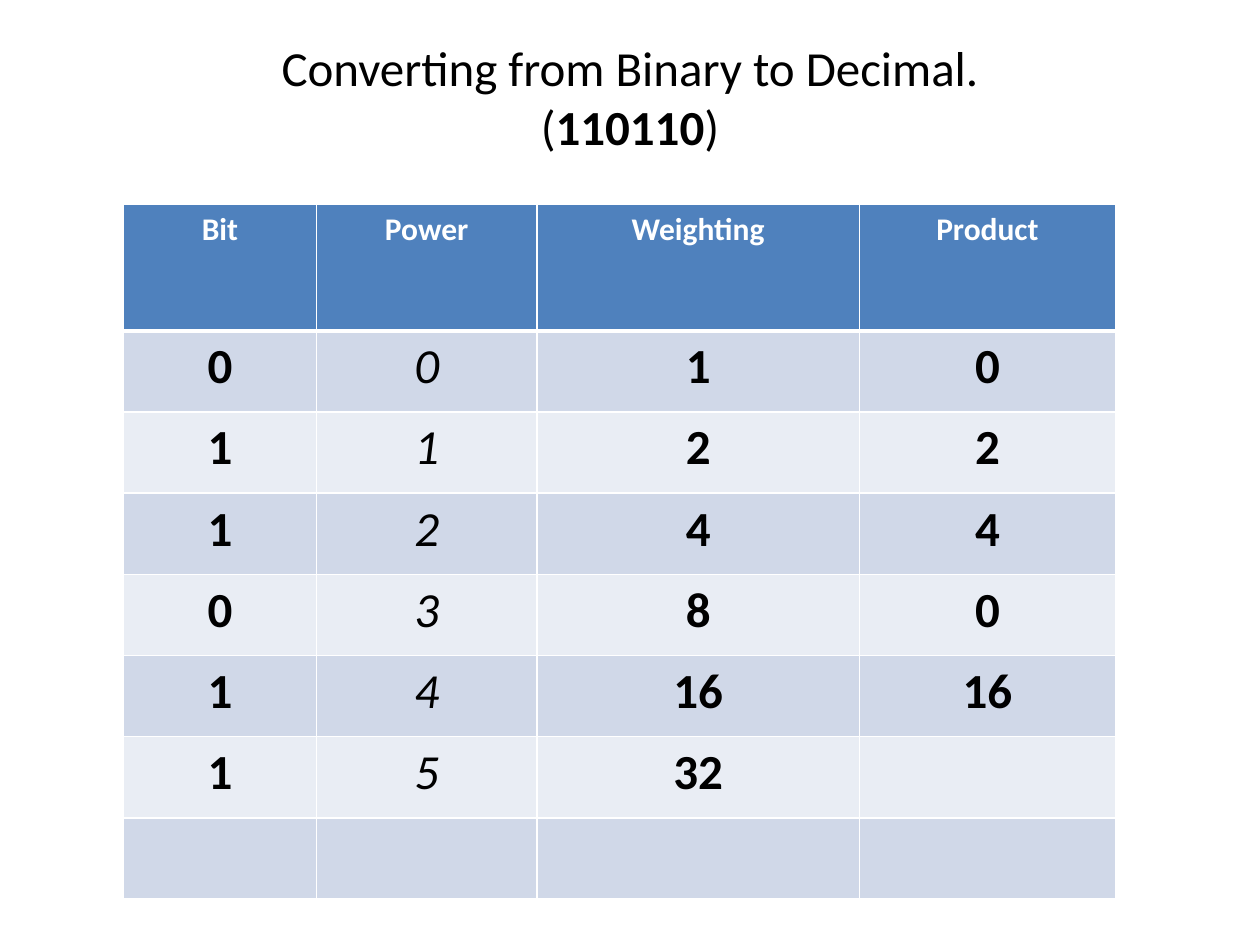
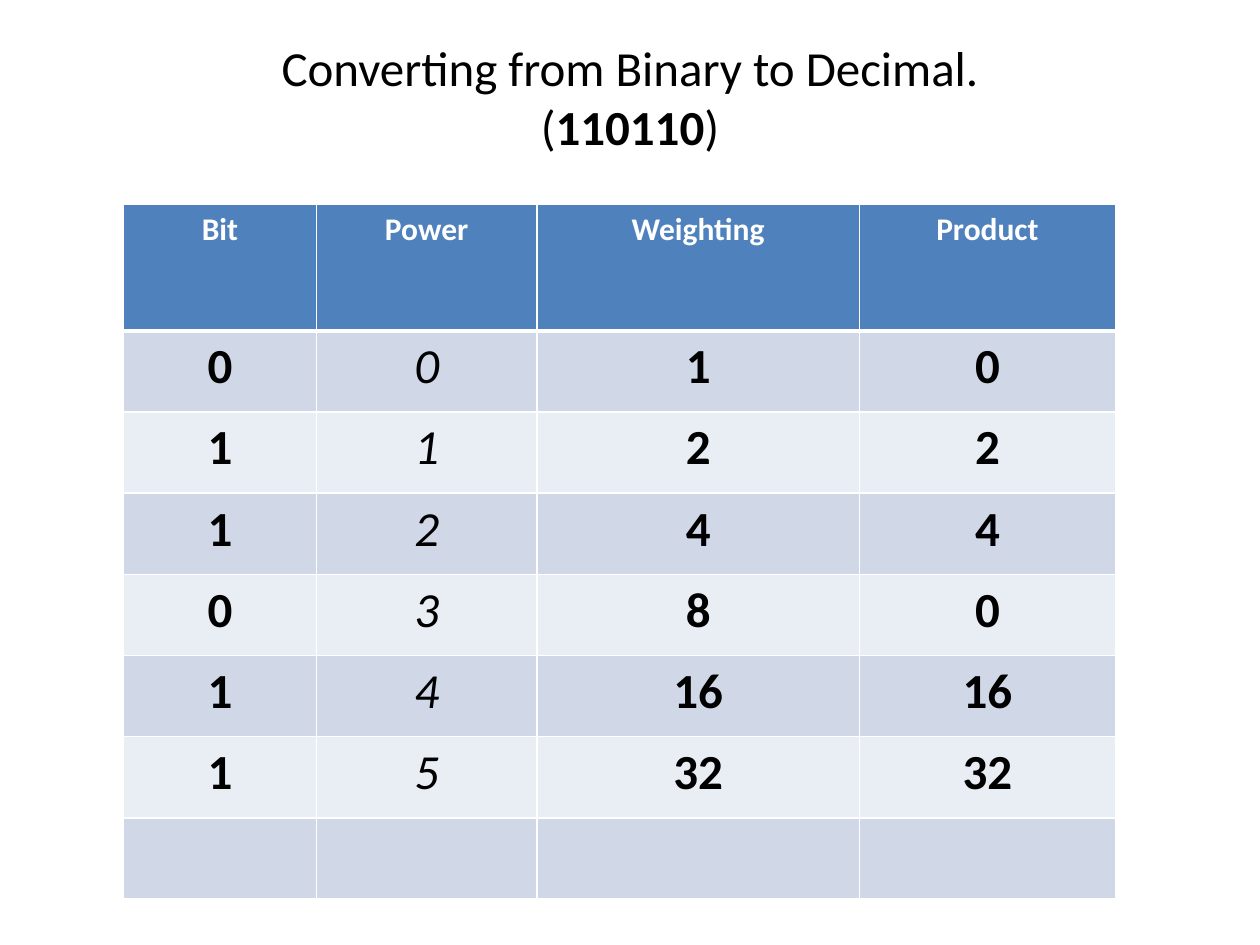
from lxml import etree
from pptx import Presentation
from pptx.dml.color import RGBColor
from pptx.enum import text
from pptx.oxml import ns
from pptx.util import Pt

WHITE, BLACK, HEADER_BLUE = "FFFFFF", "000000", "4F81BD"
BANDS = ["D0D8E8", "E9EDF4"]
HEADINGS = ["Bit", "Power", "Weighting", "Product"]
COLUMN_WIDTHS = [110.2, 126, 184.3, 146.4]
HEADER_HEIGHT, ROW_HEIGHT = 72.5, 46.4
BINARY = "110110"
BODY_ROWS = len(BINARY) + 1
HEADER_RULE, THIN_RULE = 3, 1


def add_run(paragraph, words, color, **font_format):
    run = paragraph.add_run()
    run.text = words
    run.font.name = "Calibri"
    run.font.color.rgb = RGBColor.from_string(color)
    for name, value in font_format.items():
        setattr(run.font, name, value)


def format_cell(cell, fill, top, bottom):
    """Fill the cell and give it white borders; top and bottom are widths in points."""
    cell.fill.solid()
    cell.fill.fore_color.rgb = RGBColor.from_string(fill)
    properties = cell._tc.get_or_add_tcPr()
    widths = {"a:lnL": THIN_RULE, "a:lnR": THIN_RULE, "a:lnT": top, "a:lnB": bottom}
    for index, (side, width) in enumerate(widths.items()):
        line = etree.Element(ns.qn(side), w=str(Pt(width)))
        solid = etree.SubElement(line, ns.qn("a:solidFill"))
        etree.SubElement(solid, ns.qn("a:srgbClr"), val=WHITE)
        properties.insert(index, line)


presentation = Presentation()
presentation.slide_width, presentation.slide_height = Pt(720), Pt(540)

# Each slide reveals one more product
for products_shown in (5, 6):
    slide = presentation.slides.add_slide(presentation.slide_layouts[5])

    title = slide.shapes.title
    title_place = {"left": 36, "top": 21.6, "width": 648, "height": 33}
    for name, value in title_place.items():
        setattr(title, name, Pt(value))
    frame_format = {
        "word_wrap": True,
        "auto_size": text.MSO_AUTO_SIZE.NONE,
        "vertical_anchor": text.MSO_ANCHOR.TOP,
        "margin_top": 0,
        "margin_bottom": 0,
    }
    for name, value in frame_format.items():
        setattr(title.text_frame, name, value)
    paragraph = title.text_frame.paragraphs[0]
    paragraph.alignment = text.PP_ALIGN.CENTER
    add_run(paragraph, "Converting from Binary to Decimal.", BLACK, size=Pt(28))
    paragraph.add_line_break()
    for words, bold in (("(", False), (BINARY, True), (")", False)):
        add_run(paragraph, words, BLACK, size=Pt(28), bold=bold)

    table = slide.shapes.add_table(
        BODY_ROWS + 1, len(HEADINGS), Pt(70.6), Pt(116.6),
        Pt(sum(COLUMN_WIDTHS)), Pt(HEADER_HEIGHT + BODY_ROWS * ROW_HEIGHT),
    ).table
    for column, width in zip(table.columns, COLUMN_WIDTHS):
        column.width = Pt(width)

    rows = [HEADINGS]
    for power, bit in enumerate(reversed(BINARY)):
        weighting = 2 ** power
        product = int(bit) * weighting if power < products_shown else ""
        rows.append([bit, power, weighting, product])
    rows.append([""] * len(HEADINGS))

    for row_index, values in enumerate(rows):
        is_header = row_index == 0
        table.rows[row_index].height = Pt(HEADER_HEIGHT if is_header else ROW_HEIGHT)
        fill = HEADER_BLUE if is_header else BANDS[(row_index - 1) % 2]
        top = HEADER_RULE if row_index == 1 else THIN_RULE
        bottom = HEADER_RULE if is_header else THIN_RULE
        for column_index, value in enumerate(values):
            cell = table.cell(row_index, column_index)
            format_cell(cell, fill, top, bottom)
            if value == "":
                continue
            paragraph = cell.text_frame.paragraphs[0]
            paragraph.alignment = text.PP_ALIGN.CENTER
            is_power = HEADINGS[column_index] == "Power" and not is_header
            add_run(
                paragraph, str(value), WHITE if is_header else BLACK,
                size=Pt(18 if is_header else 28), bold=not is_power, italic=is_power,
            )

presentation.save("out.pptx")
